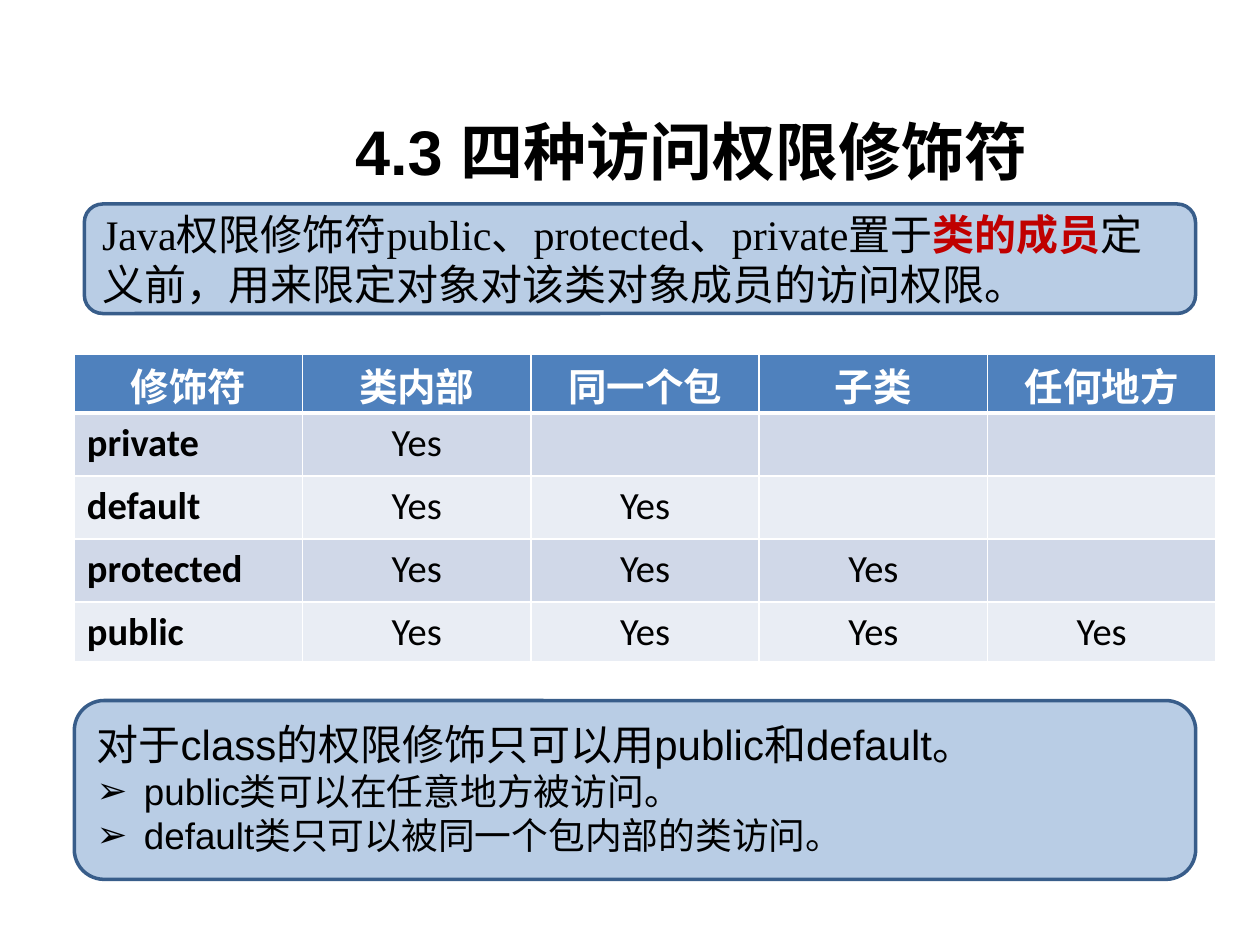
from lxml.etree import SubElement
from pptx import Presentation
from pptx.dml.color import RGBColor
from pptx.enum.shapes import MSO_SHAPE as Shape
from pptx.enum.text import MSO_ANCHOR as Anchor, PP_ALIGN as Align
from pptx.oxml.ns import qn
from pptx.util import Pt

COLORS = {"black": "000000", "white": "FFFFFF", "red": "C00000",
          "panel": "B9CDE5", "outline": "385D8A", "header": "4F81BD",
          "odd": "D0D8E8", "even": "E9EDF4"}

# Content
TITLE = "4.3 四种访问权限修饰符"
INTRO = [("Java权限修饰符public、protected、private置于", {}),
         ("类的成员", {"color": "red", "bold": True}),
         ("定义前，用来限定对象对该类对象成员的访问权限。", {})]
SCOPES = ["修饰符", "类内部", "同一个包", "子类", "任何地方"]
MODIFIERS = ["private", "default", "protected", "public"]
CLASS_RULE = "对于class的权限修饰只可以用public和default。"
CLASS_NOTES = ["public类可以在任意地方被访问。", "default类只可以被同一个包内部的类访问。"]

# Positions: left, top, width, height
CLASS_PANEL = (42.5, 400.3, 640.8, 102.2)
INTRO_PANEL = (48.2, 116.6, 635, 62.6)
TITLE_BOX = (195.8, 60.5, 414, 51.1)
ACCESS_TABLE = (42.5, 202.3, 652.3, 175)
CLASS_BOX = (48.2, 406.8, 640.8, 90)
ROW_HEIGHTS = [33.8, 36, 36, 36, 33.8]
NOTE_INDENT = Pt(27)

# Text formats
TITLE_FORMAT = {"size": 36, "name": "Arial", "bold": True}
INTRO_FORMAT = {"size": 24, "name": "Times New Roman"}
RULE_FORMAT = {"size": 24, "name": "Arial"}
NOTE_FORMAT = {"size": 21, "name": "Arial"}
HEADER_FORMAT = {"size": 22, "name": "Noto Sans CJK SC", "bold": True, "color": "white"}
MODIFIER_FORMAT = {"size": 22, "name": "Calibri", "bold": True}
YES_FORMAT = {"size": 22, "name": "Calibri"}


def rgb(color):
    return RGBColor.from_string(COLORS[color])


def place(box):
    return [Pt(length) for length in box]


def write(paragraph, text, style, align=Align.LEFT):
    paragraph.alignment = align
    run = paragraph.add_run()
    run.text = text
    values = {"bold": False, "color": "black", **style}
    run.font.color.rgb = rgb(values.pop("color"))
    values["size"] = Pt(values["size"])
    for attribute, value in values.items():
        setattr(run.font, attribute, value)


def add_panel(slide, box):
    panel = slide.shapes.add_shape(Shape.ROUNDED_RECTANGLE, *place(box))
    panel.shadow.inherit = False
    panel.fill.solid()
    panel.fill.fore_color.rgb = rgb("panel")
    panel.line.color.rgb = rgb("outline")
    panel.line.width = Pt(2)
    return panel


def add_text_frame(slide, box):
    frame = slide.shapes.add_textbox(*place(box)).text_frame
    frame.word_wrap = True
    return frame


def add_bullet(paragraph):
    properties = paragraph._p.get_or_add_pPr()
    properties.set("marL", str(NOTE_INDENT))
    properties.set("indent", str(-NOTE_INDENT))
    SubElement(properties, qn("a:buFont"), typeface="Arial")
    SubElement(properties, qn("a:buChar"), char="➢")


def style_cell(cell, color, widths):
    properties = cell._tc.get_or_add_tcPr()
    for side, width in widths.items():
        border = SubElement(properties, qn(f"a:ln{side}"), w=str(Pt(width)))
        fill = SubElement(border, qn("a:solidFill"))
        SubElement(fill, qn("a:srgbClr"), val=COLORS["white"])
    cell.fill.solid()
    cell.fill.fore_color.rgb = rgb(color)


def fill_table(table):
    table.first_row = table.horz_banding = False
    for row, height in enumerate(ROW_HEIGHTS):
        table.rows[row].height = Pt(height)
        color = "header" if row == 0 else "odd" if row % 2 else "even"
        widths = {"L": 1, "R": 1, "T": 3 if row == 1 else 1, "B": 3 if row == 0 else 1}
        for column, scope in enumerate(SCOPES):
            cell = table.cell(row, column)
            style_cell(cell, color, widths)
            paragraph = cell.text_frame.paragraphs[0]
            if row == 0:
                cell.margin_top, cell.margin_bottom = Pt(1.8), 0
                write(paragraph, scope, HEADER_FORMAT, Align.CENTER)
            elif column == 0:
                write(paragraph, MODIFIERS[row - 1], MODIFIER_FORMAT)
            elif column <= row:  # each modifier opens one more scope
                write(paragraph, "Yes", YES_FORMAT, Align.CENTER)


def main():
    deck = Presentation()
    deck.slide_width, deck.slide_height = Pt(720), Pt(540)
    slide = deck.slides.add_slide(deck.slide_layouts[6])

    # Panels and introduction
    add_panel(slide, CLASS_PANEL)
    intro = add_panel(slide, INTRO_PANEL).text_frame
    intro.word_wrap = True
    intro.vertical_anchor = Anchor.MIDDLE
    for text, emphasis in INTRO:
        write(intro.paragraphs[0], text, {**INTRO_FORMAT, **emphasis})

    # Title
    write(add_text_frame(slide, TITLE_BOX).paragraphs[0], TITLE, TITLE_FORMAT)

    # Access table
    fill_table(slide.shapes.add_table(
        len(ROW_HEIGHTS), len(SCOPES), *place(ACCESS_TABLE)).table)

    # Rules for classes
    rules = add_text_frame(slide, CLASS_BOX)
    write(rules.paragraphs[0], CLASS_RULE, RULE_FORMAT)
    for note in CLASS_NOTES:
        paragraph = rules.add_paragraph()
        write(paragraph, note, NOTE_FORMAT)
        add_bullet(paragraph)

    deck.save("out.pptx")


if __name__ == "__main__":
    main()
